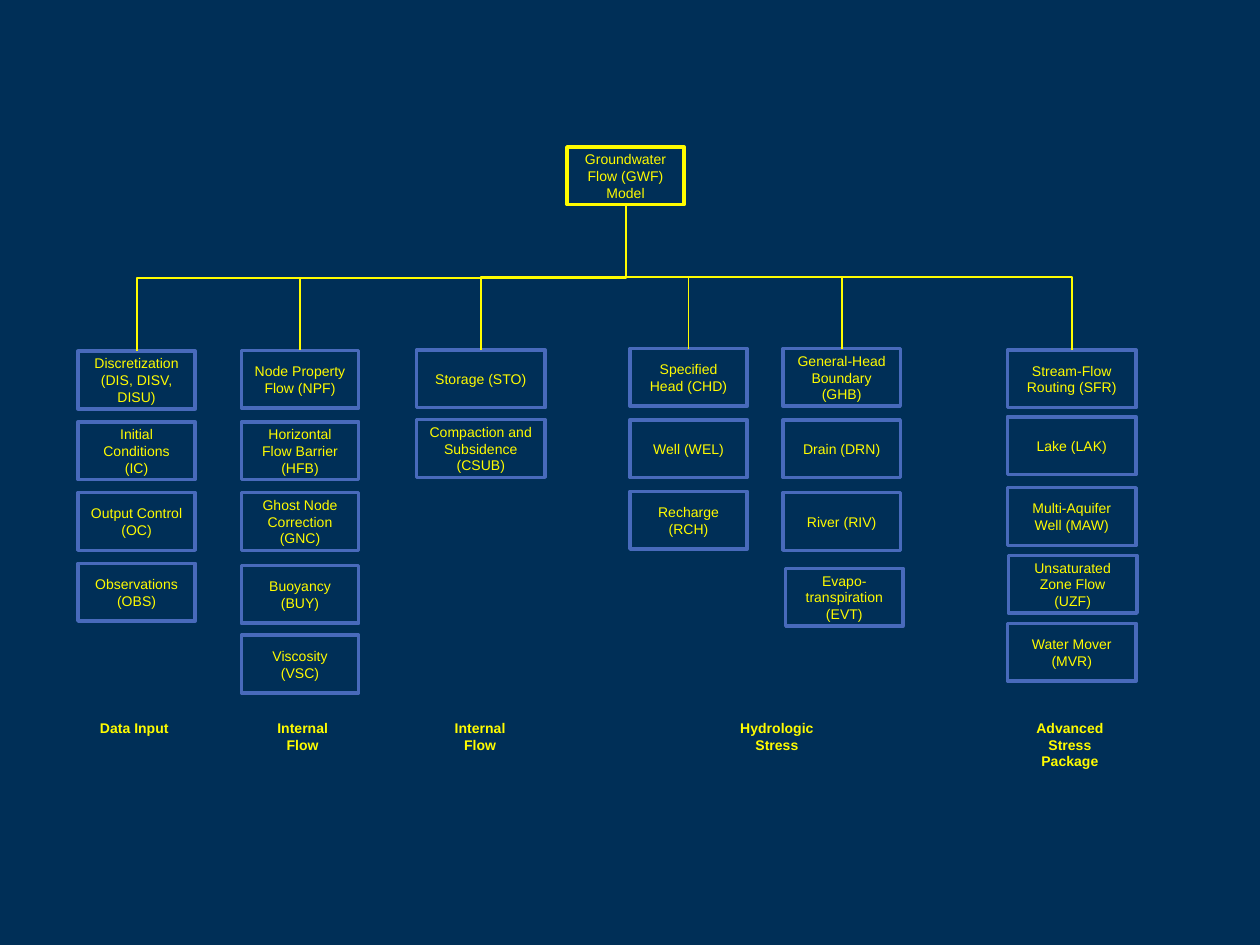
import dataclasses

import pptx
import pptx.dml.color
import pptx.enum.shapes
import pptx.enum.text
import pptx.oxml.ns
import pptx.oxml.xmlchemy
import pptx.util

Pt = pptx.util.Pt
RGB = pptx.dml.color.RGBColor.from_string


@dataclasses.dataclass(frozen=True)
class Theme:
    """Colours, font and sizes of the slide."""
    back: str = "002F57"
    accent: str = "FFFC00"
    frame: str = "486ABB"
    font: str = "Arial"
    size: float = 8
    box_line: float = 2
    link_line: float = 1


T = Theme()
BOX_W, WIDE_W, BOX_H = 67, 73.6, 33
LABEL_W, LABEL_TOP = 57.6, 407.5

COLUMNS = [
    (44.6, BOX_W, [
        ("Discretization (DIS, DISV, DISU)", 200.7),
        ("Initial Conditions (IC)", 241.1),
        ("Output Control (OC)", 281.5),
        ("Observations (OBS)", 321.9)]),
    (138, BOX_W, [
        ("Node Property Flow (NPF)", 200.2),
        ("Horizontal Flow Barrier (HFB)", 241.1),
        ("Ghost Node Correction (GNC)", 281.5),
        ("Buoyancy (BUY)", 323.2),
        ("Viscosity (VSC)", 363)]),
    (238, WIDE_W, [
        ("Storage (STO)", 200),
        ("Compaction and Subsidence (CSUB)", 239.8)]),
    (360, BOX_W, [
        ("Specified Head (CHD)", 199.2),
        ("Well (WEL)", 239.9),
        ("Recharge (RCH)", 280.8)]),
    (447.5, BOX_W, [
        ("General-Head Boundary (GHB)", 199.2),
        ("Drain (DRN)", 239.9),
        ("River (RIV)", 281.5),
        ("Evapo-transpiration (EVT)", 324.8, 1.5)]),
    (575.7, WIDE_W, [
        ("Stream-Flow Routing (SFR)", 200),
        ("Lake (LAK)", 238.2),
        ("Multi-Aquifer Well (MAW)", 278.7),
        ("Unsaturated Zone Flow (UZF)", 317.4, 0.5),
        ("Water Mover\n(MVR)", 356.2)]),
]

LABELS = [
    ("Data Input", 48, 17.3),
    ("Internal Flow", 144.2, 26.6),
    ("Internal Flow", 245.6, 26.6),
    ("Hydrologic Stress", 415.2, 26.6),
    ("Advanced Stress Package", 582.6, 36),
]


def write(tf, text, bold=None):
    """Fill a text frame with centred text in the theme font."""
    tf.word_wrap = True
    tf.text = text
    for p in tf.paragraphs:
        p.alignment = pptx.enum.text.PP_ALIGN.CENTER
        for r in p.runs:
            r.font.name = T.font
            r.font.size = Pt(T.size)
            r.font.bold = bold
            r.font.color.rgb = RGB(T.accent)


def add_box(s, text, x, y, w=BOX_W, color=T.frame):
    """Add an outlined rectangle with centred text."""
    sp = s.shapes.add_shape(pptx.enum.shapes.MSO_SHAPE.RECTANGLE,
                            Pt(x), Pt(y), Pt(w), Pt(BOX_H))
    sp.shadow.inherit = False
    sp.fill.background()
    sp.line.color.rgb = RGB(color)
    sp.line.width = Pt(T.box_line)
    sp.text_frame.vertical_anchor = pptx.enum.text.MSO_ANCHOR.MIDDLE
    write(sp.text_frame, text)
    return sp


def add_label(s, text, x, h):
    """Add a bold caption under a column."""
    sp = s.shapes.add_textbox(Pt(x), Pt(LABEL_TOP), Pt(LABEL_W), Pt(h))
    write(sp.text_frame, text, bold=True)


def add_branch(s, parent, child):
    """Join parent bottom to child top with a down-across-down elbow."""
    cx = s.shapes.add_connector(pptx.enum.shapes.MSO_CONNECTOR.ELBOW, 0, 0, 0, 0)
    cx.begin_connect(parent, 2)
    cx.end_connect(child, 0)
    x1, y1 = parent.left + parent.width // 2, parent.top + parent.height
    x2, y2 = child.left + child.width // 2, child.top
    across, down = abs(x2 - x1), y2 - y1
    cx.left, cx.top = (x1 + x2 - down) // 2, (y1 + y2 - across) // 2
    cx.width, cx.height = down, across
    xfrm = cx._element.spPr.find(pptx.oxml.ns.qn("a:xfrm"))
    for name in ("flipH", "flipV"):
        xfrm.attrib.pop(name, None)
    if x2 < x1:
        xfrm.set("rot", "5400000")
    else:
        xfrm.set("rot", "16200000")
        xfrm.set("flipH", "1")
    cx.line.color.rgb = RGB(T.accent)
    cx.line.width = Pt(T.link_line)
    cx._element.spPr.append(pptx.oxml.xmlchemy.OxmlElement("a:effectLst"))


def main():
    """Build the package tree and save it."""
    prs = pptx.Presentation()
    prs.slide_width, prs.slide_height = Pt(720), Pt(540)
    s = prs.slides.add_slide(prs.slide_layouts[6])
    s.background.fill.solid()
    s.background.fill.fore_color.rgb = RGB(T.back)
    root = add_box(s, "Groundwater Flow (GWF) Model", 324, 84, color=T.accent)
    for x, w, items in COLUMNS:
        boxes = [add_box(s, text, x + sum(shift), y, w) for text, y, *shift in items]
        add_branch(s, root, boxes[0])
    for text, x, h in LABELS:
        add_label(s, text, x, h)
    prs.save("out.pptx")


if __name__ == "__main__":
    main()
